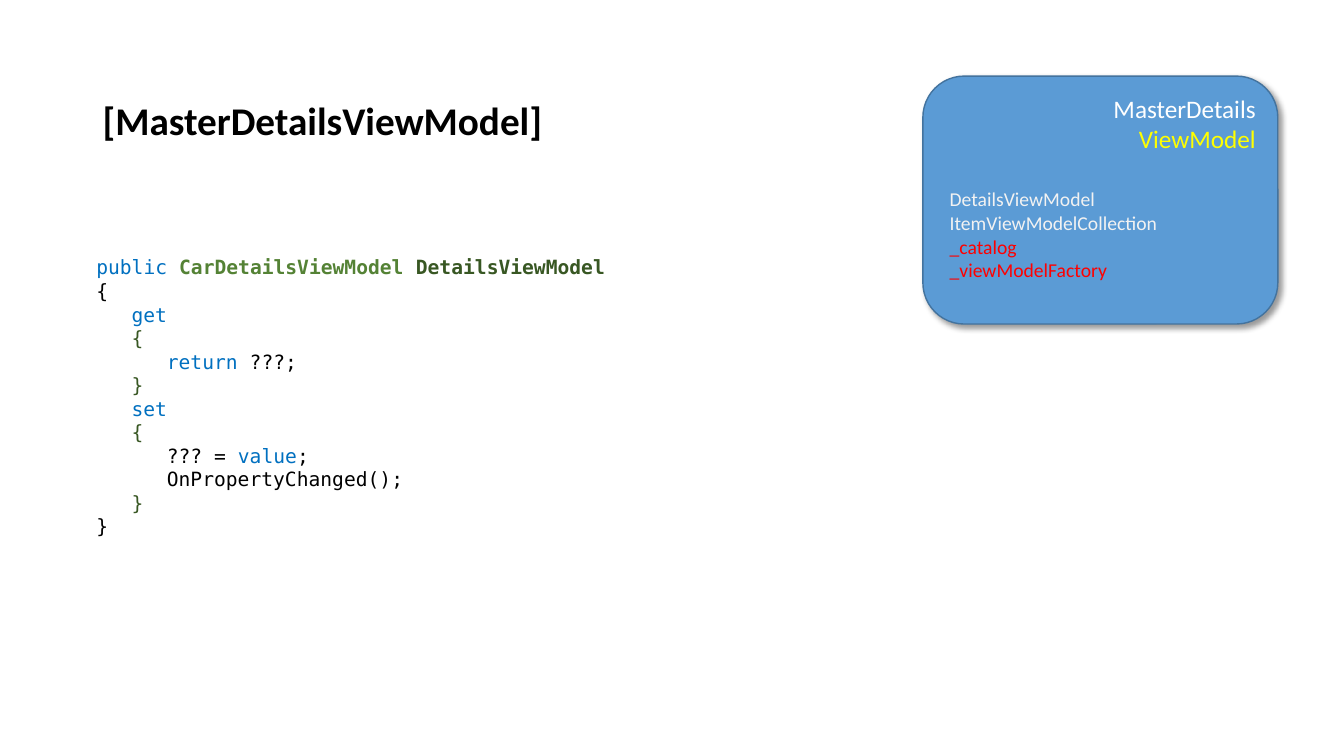
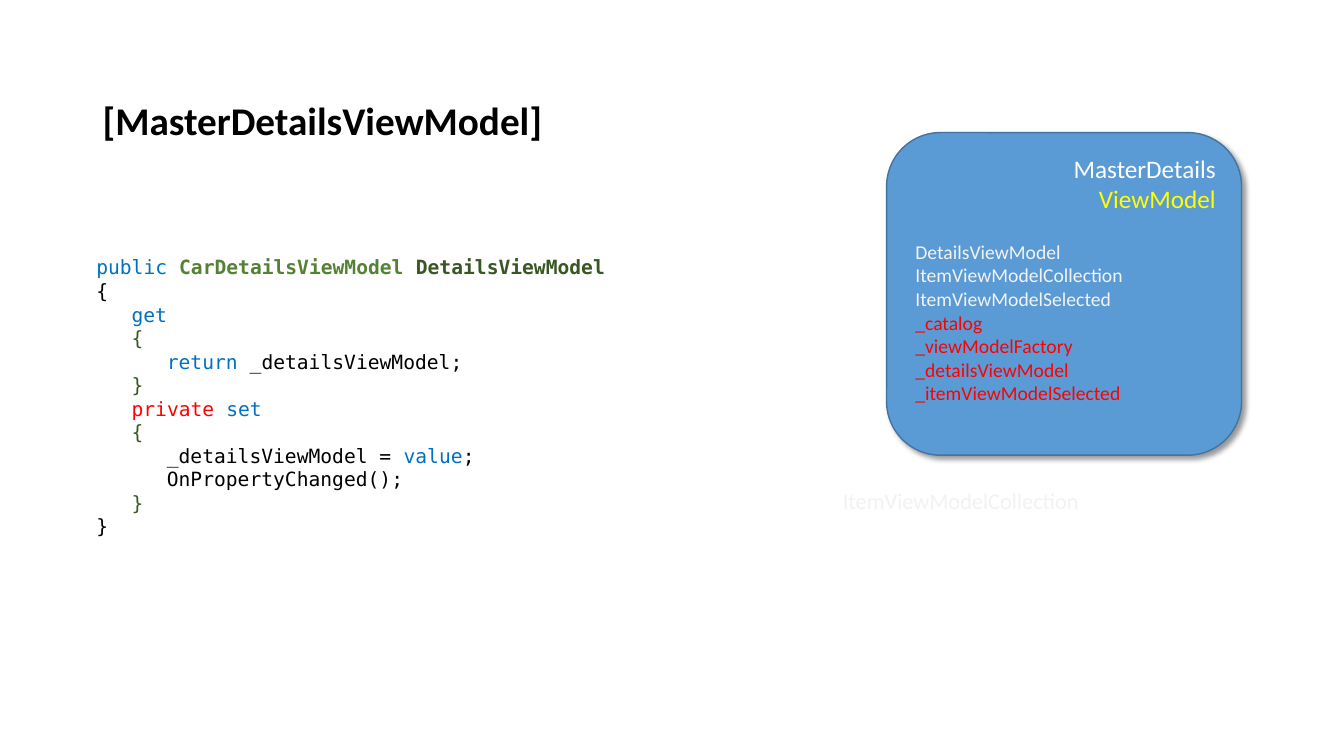
from typing import NamedTuple

from lxml import etree
from pptx import Presentation
from pptx import util as u
from pptx.dml.color import RGBColor
from pptx.enum import shapes, text
from pptx.oxml import ns

WIDE, HIGH = u.Inches(13.33), u.Inches(7.5)
SANS, MONO = "Calibri", "DejaVu Sans Mono"
INDENT = u.Inches(0.35)

BLACK = RGBColor(0x00, 0x00, 0x00)
WHITE = RGBColor(0xFF, 0xFF, 0xFF)
PALE = RGBColor(0xF2, 0xF2, 0xF2)
RED = RGBColor(0xFF, 0x00, 0x00)
YELLOW = RGBColor(0xFF, 0xFF, 0x00)
KEY = RGBColor(0x00, 0x70, 0xC0)
GREEN = RGBColor(0x54, 0x82, 0x35)
DARK = RGBColor(0x38, 0x57, 0x23)
FILL = RGBColor(0x5B, 0x9B, 0xD5)
EDGE = RGBColor(0x43, 0x73, 0x9E)


class Box(NamedTuple):
    """Left, top, width and height in percent of the slide."""
    left: float
    top: float
    wide: float
    high: float

    def emu(self) -> list[int]:
        sides = (WIDE, HIGH, WIDE, HIGH)
        return [round(part * side / 100) for part, side in zip(self, sides)]


class Run(NamedTuple):
    text: str
    color: RGBColor = BLACK
    bold: bool = False


class Line(NamedTuple):
    runs: tuple[Run, ...]
    depth: int = 0


class Style(NamedTuple):
    font: str
    size: int
    align: text.PP_ALIGN = text.PP_ALIGN.LEFT
    space: float = 1.0


class Page(NamedTuple):
    field: str
    setter: tuple[Run, ...]
    card: Box
    list: Box
    public: tuple[str, ...]
    private: tuple[str, ...]
    note: str = ""


TITLE = Style(SANS, 28, space=0.9)
CODE = Style(MONO, 14)
HEAD = Style(SANS, 18, text.PP_ALIGN.RIGHT)
ITEM = Style(SANS, 14)
NOTE = Style(SANS, 16)

TITLE_BOX = Box(6.9, 12.8, 48.3, 12)
CODE_BOX = Box(6.43, 33.12, 43.89, 39.07)
NOTE_BOX = Box(61.97, 63.73, 22, 5)

SET = Run("set", KEY)
PAGES = (
    Page("???", (SET,),
         Box(68.67, 10.07, 26.41, 32.8), Box(69.92, 24.13, 20.78, 13.87),
         ("DetailsViewModel", "ItemViewModelCollection"),
         ("_catalog", "_viewModelFactory")),
    Page("_detailsViewModel", (Run("private ", RED), SET),
         Box(65.97, 17.54, 26.41, 42.67), Box(67.37, 31.07, 20.78, 23.33),
         ("DetailsViewModel", "ItemViewModelCollection",
          "ItemViewModelSelected"),
         ("_catalog", "_viewModelFactory", "_detailsViewModel",
          "_itemViewModelSelected"),
         "ItemViewModelCollection"),
)


def line(words: str, color: RGBColor = BLACK, depth: int = 0,
         bold: bool = False) -> Line:
    return Line((Run(words, color, bold),), depth)


def code(page: Page) -> list[Line]:
    start, end = line("{", DARK, 1), line("}", DARK, 1)
    return [
        Line((Run("public ", KEY), Run("CarDetailsViewModel ", GREEN, True),
              Run("DetailsViewModel", DARK, True))),
        line("{"),
        line("get", KEY, 1),
        start,
        Line((Run("return ", KEY), Run(f"{page.field};")), 2),
        end,
        Line(page.setter, 1),
        start,
        Line((Run(f"{page.field} = "), Run("value", KEY), Run(";")), 2),
        line("OnPropertyChanged();", depth=2),
        end,
        line("}"),
    ]


def write(shape, lines: list[Line], style: Style) -> None:
    frame = shape.text_frame
    frame.word_wrap = True
    frame.vertical_anchor = text.MSO_ANCHOR.TOP
    for i, row in enumerate(lines):
        para = frame.add_paragraph() if i else frame.paragraphs[0]
        para.alignment = style.align
        para.line_spacing = style.space
        para.font.name = style.font
        para.font.size = u.Pt(style.size)
        if row.depth:
            para._p.get_or_add_pPr().set("marL", str(row.depth * INDENT))
        for part in row.runs:
            run = para.add_run()
            run.text = part.text
            # One-run lines carry their look on the paragraph.
            font = para.font if len(row.runs) == 1 else run.font
            font.color.rgb = part.color
            font.bold = part.bold


def label(slide, box: Box, lines: list[Line], style: Style) -> None:
    write(slide.shapes.add_textbox(*box.emu()), lines, style)


def block(slide, kind: shapes.MSO_SHAPE, box: Box, fill: RGBColor):
    """Add a filled shape without line or shadow."""
    shape = slide.shapes.add_shape(kind, *box.emu())
    shape.fill.solid()
    shape.fill.fore_color.rgb = fill
    shape.line.fill.background()
    shape.shadow.inherit = False
    return shape


def shade(shape) -> None:
    """Give the shape a soft shadow to the lower right."""
    effects = shape._element.spPr.find(ns.qn("a:effectLst"))
    outer = etree.SubElement(
        effects, ns.qn("a:outerShdw"), blurRad=str(u.Pt(4)),
        dist=str(u.Pt(3)), dir=str(45 * 60000), algn="tl", rotWithShape="0")
    color = etree.SubElement(outer, ns.qn("a:srgbClr"), val=str(BLACK))
    etree.SubElement(color, ns.qn("a:alpha"), val="40000")


def card(slide, box: Box) -> None:
    shape = block(slide, shapes.MSO_SHAPE.ROUNDED_RECTANGLE, box, FILL)
    shape.line.color.rgb = EDGE
    shape.line.width = u.Pt(1)
    shade(shape)
    write(shape, [line("MasterDetails", WHITE), line("ViewModel", YELLOW)],
          HEAD)


def draw(slide, page: Page) -> None:
    label(slide, TITLE_BOX, [line("[MasterDetailsViewModel]", bold=True)],
          TITLE)
    panel = block(slide, shapes.MSO_SHAPE.RECTANGLE, CODE_BOX, WHITE)
    write(panel, code(page), CODE)
    card(slide, page.card)
    names = [line(name, PALE) for name in page.public]
    names += [line(name, RED) for name in page.private]
    label(slide, page.list, names, ITEM)
    if page.note:
        label(slide, NOTE_BOX, [line(page.note, PALE)], NOTE)


def main() -> None:
    deck = Presentation()
    deck.slide_width, deck.slide_height = WIDE, HIGH
    blank = deck.slide_layouts[6]
    for page in PAGES:
        draw(deck.slides.add_slide(blank), page)
    deck.save("out.pptx")


if __name__ == "__main__":
    main()
